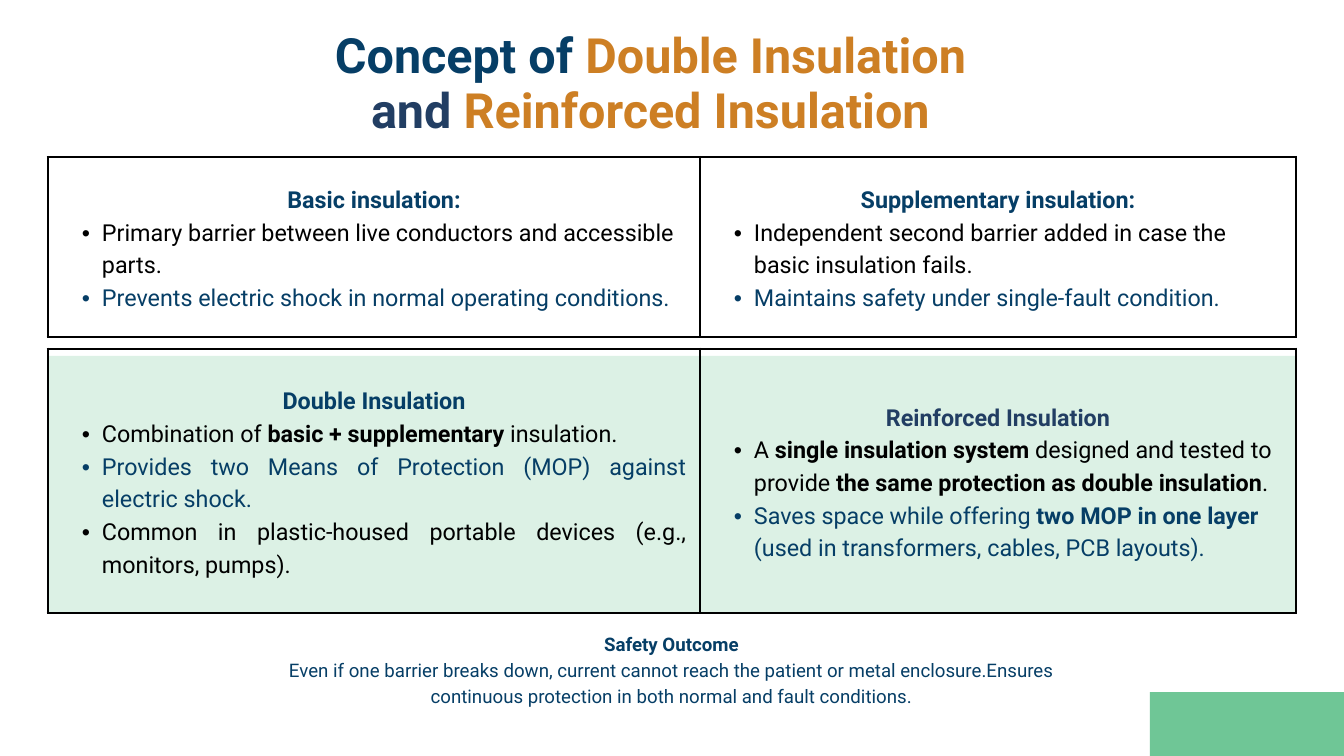
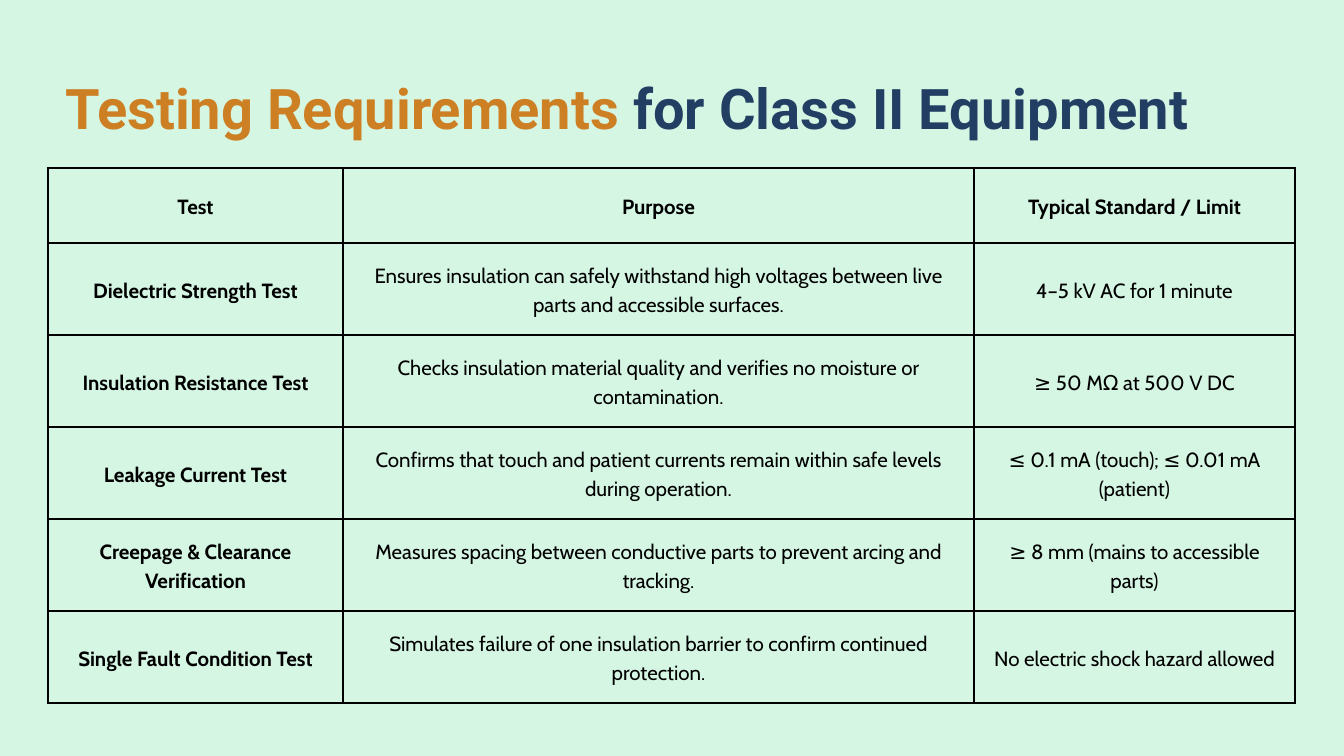
from dataclasses import dataclass

from lxml import etree
from pptx import Presentation
from pptx import util as u
from pptx.dml.color import RGBColor
from pptx.enum import shapes, text
from pptx.oxml.ns import qn


@dataclass(frozen=True)
class Theme:
    # Colours
    ink: str = "000000"
    blue: str = "063E66"
    navy: str = "223E63"
    orange: str = "CD7F24"
    green: str = "6FC696"
    mint: str = "D6F6E4"
    white: str = "FFFFFF"
    # Fonts, type sizes and line spacing in points
    heading: str = "Roboto"
    table: str = "Cabin"
    concept_title: tuple = (52, 59.3)
    testing_title: tuple = (60, 68.4)
    concept: tuple = (25, 35)
    outcome: tuple = (20, 28)
    testing: tuple = (22, 30.8)
    border: int = 3


theme = Theme()
PX = 914400 / 67.2
INSET, BULLET_LEFT, BULLET_HANG = 14, 40, 20
LEFT, CENTER, JUSTIFY = text.PP_ALIGN.LEFT, text.PP_ALIGN.CENTER, text.PP_ALIGN.JUSTIFY


def write(frame, paragraphs, size, font=theme.heading):
    """Fill a frame with (alignment, bulleted, [(words, colour, bold), ...])."""
    frame.word_wrap = True
    for i, (align, bulleted, runs) in enumerate(paragraphs):
        p = frame.paragraphs[0] if i == 0 else frame.add_paragraph()
        p.alignment, p.line_spacing = align, u.Pt(size[1])
        if bulleted:
            p.level = 1
            props = p._p.get_or_add_pPr()
            props.set("marL", str(round(BULLET_LEFT * PX)))
            props.set("indent", str(round(-BULLET_HANG * PX)))
            etree.SubElement(props, qn("a:buFont"), typeface="Arial")
            etree.SubElement(props, qn("a:buChar"), char="•")
        for words, colour, bold in runs:
            run = p.add_run()
            run.text = words
            run.font.name, run.font.size, run.font.bold = font, u.Pt(size[0]), bold
            run.font.color.rgb = RGBColor.from_string(colour)


def add_grid(slide, top, columns, heights, rows, size, font=theme.heading):
    """Add an outlined, unfilled table of paragraph lists."""
    box = [round(v * PX) for v in (48, top, sum(columns), sum(heights))]
    grid = slide.shapes.add_table(len(heights), len(columns), *box).table
    grid.first_row = grid.horz_banding = False
    for column, width in zip(grid.columns, columns):
        column.width = round(width * PX)
    for row, height, contents in zip(grid.rows, heights, rows):
        row.height = round(height * PX)
        for cell, paragraphs in zip(row.cells, contents):
            cell.margin_left = cell.margin_right = round(INSET * PX)
            cell.margin_top = cell.margin_bottom = round(INSET * PX)
            cell.vertical_anchor = text.MSO_ANCHOR.MIDDLE
            cell.fill.background()
            props = cell._tc.get_or_add_tcPr()
            for i, side in enumerate(("lnL", "lnR", "lnT", "lnB")):
                line = etree.Element(qn(f"a:{side}"), w=str(u.Pt(theme.border)))
                fill = etree.SubElement(line, qn("a:solidFill"))
                etree.SubElement(fill, qn("a:srgbClr"), val=theme.ink)
                props.insert(i, line)
            write(cell.text_frame, paragraphs, size, font)


prs = Presentation()
prs.slide_width, prs.slide_height = round(1344 * PX), round(756 * PX)

# Shared backgrounds and titles
slides = []
for background, box, size, lines in [
    (theme.white, (152, 28, 997, 113), theme.concept_title, [
        (CENTER, False, [("Concept of ", theme.blue, True),
                         ("Double Insulation", theme.orange, True)]),
        (CENTER, False, [("and", theme.navy, True),
                         (" Reinforced Insulation", theme.orange, True)]),
    ]),
    (theme.mint, (65, 77, 1215, 67), theme.testing_title, [
        (LEFT, False, [("Testing Requirements ", theme.orange, True),
                       ("for Class II Equipment", theme.navy, True)]),
    ]),
]:
    slide = prs.slides.add_slide(prs.slide_layouts[5])
    slide.background.fill.solid()
    slide.background.fill.fore_color.rgb = RGBColor.from_string(background)
    title = slide.shapes.title
    title.left, title.top, title.width, title.height = [round(v * PX) for v in box]
    frame = title.text_frame
    frame.margin_left = frame.margin_right = frame.margin_top = frame.margin_bottom = 0
    frame.vertical_anchor = text.MSO_ANCHOR.TOP
    frame.auto_size = text.MSO_AUTO_SIZE.NONE
    write(frame, lines, size)
    slides.append(slide)
concept, testing = slides

# Slide 1: tinted band behind the lower table, and corner block
for box, opacity in [((48, 356, 1248, 257), 24), ((1150, 692, 194, 64), 100)]:
    block = concept.shapes.add_shape(
        shapes.MSO_SHAPE.RECTANGLE, *[round(v * PX) for v in box])
    block.shadow.inherit = False
    block.line.fill.background()
    block.fill.solid()
    block.fill.fore_color.rgb = RGBColor.from_string(theme.green)
    if opacity < 100:
        colour = block.fill._xPr.find(qn("a:solidFill"))[0]
        etree.SubElement(colour, qn("a:alpha"), val=str(opacity * 1000))

# Slide 1: four kinds of insulation, as (heading, colour, alignment, bullets)
basic = ("Basic insulation:", theme.blue, LEFT, [
    [("Primary barrier between live conductors and accessible parts.", theme.ink, False)],
    [("Prevents electric shock in normal operating conditions.", theme.blue, False)],
])
supplementary = ("Supplementary insulation:", theme.blue, LEFT, [
    [("Independent second barrier added in case the basic insulation fails.",
      theme.ink, False)],
    [("Maintains safety under single-fault condition.", theme.blue, False)],
])
double = ("Double Insulation", theme.blue, JUSTIFY, [
    [("Combination of ", theme.ink, False), ("basic + supplementary", theme.ink, True),
     (" insulation.", theme.ink, False)],
    [("Provides two Means of Protection (MOP) against electric shock.",
      theme.blue, False)],
    [("Common in plastic-housed portable devices (e.g., monitors, pumps).",
      theme.ink, False)],
])
reinforced = ("Reinforced Insulation", theme.navy, LEFT, [
    [("A ", theme.ink, False), ("single insulation system", theme.ink, True),
     (" designed and tested to provide ", theme.ink, False),
     ("the same protection as double insulation", theme.ink, True),
     (".", theme.ink, False)],
    [("Saves space while offering ", theme.blue, False),
     ("two MOP in one layer", theme.blue, True),
     (" (used in transformers, cables, PCB layouts).", theme.blue, False)],
])
for top, height, kinds in [(157, 180, (basic, supplementary)),
                           (349, 264, (double, reinforced))]:
    contents = [[(CENTER, False, [(heading, colour, True)])]
                + [(align, True, runs) for runs in bullets]
                for heading, colour, align, bullets in kinds]
    add_grid(concept, top, (652, 596), (height,), [contents], theme.concept)

# Slide 1: safety outcome
outcome = concept.shapes.add_textbox(
    *[round(v * PX) for v in (260, 629, 823, 103)]).text_frame
outcome.margin_left = outcome.margin_right = outcome.margin_top = outcome.margin_bottom = 0
write(outcome, [
    (CENTER, False, [("Safety Outcome", theme.blue, True)]),
    (CENTER, False, [("Even if one barrier breaks down, current cannot reach the patient "
                      "or metal enclosure.Ensures continuous protection in both normal "
                      "and fault conditions.", theme.blue, False)]),
], theme.outcome)

# Slide 2: test table, bold in the header row and the first column
tests = [
    ("Test", "Purpose", "Typical Standard / Limit"),
    ("Dielectric Strength Test",
     "Ensures insulation can safely withstand high voltages between live parts "
     "and accessible surfaces.",
     "4–5 kV AC for 1 minute"),
    ("Insulation Resistance Test",
     "Checks insulation material quality and verifies no moisture or contamination.",
     "≥ 50 MΩ at 500 V DC"),
    ("Leakage Current Test",
     "Confirms that touch and patient currents remain within safe levels during operation.",
     "≤ 0.1 mA (touch); ≤ 0.01 mA (patient)"),
    ("Creepage & Clearance Verification",
     "Measures spacing between conductive parts to prevent arcing and tracking.",
     "≥ 8 mm (mains to accessible parts)"),
    ("Single Fault Condition Test",
     "Simulates failure of one insulation barrier to confirm continued protection.",
     "No electric shock hazard allowed"),
]
contents = [[[(CENTER, False, [(words, theme.ink, r == 0 or c == 0)])]
             for c, words in enumerate(row)] for r, row in enumerate(tests)]
add_grid(testing, 168, (295, 631, 321), [75] + [92] * 5, contents,
         theme.testing, theme.table)

prs.save("out.pptx")
